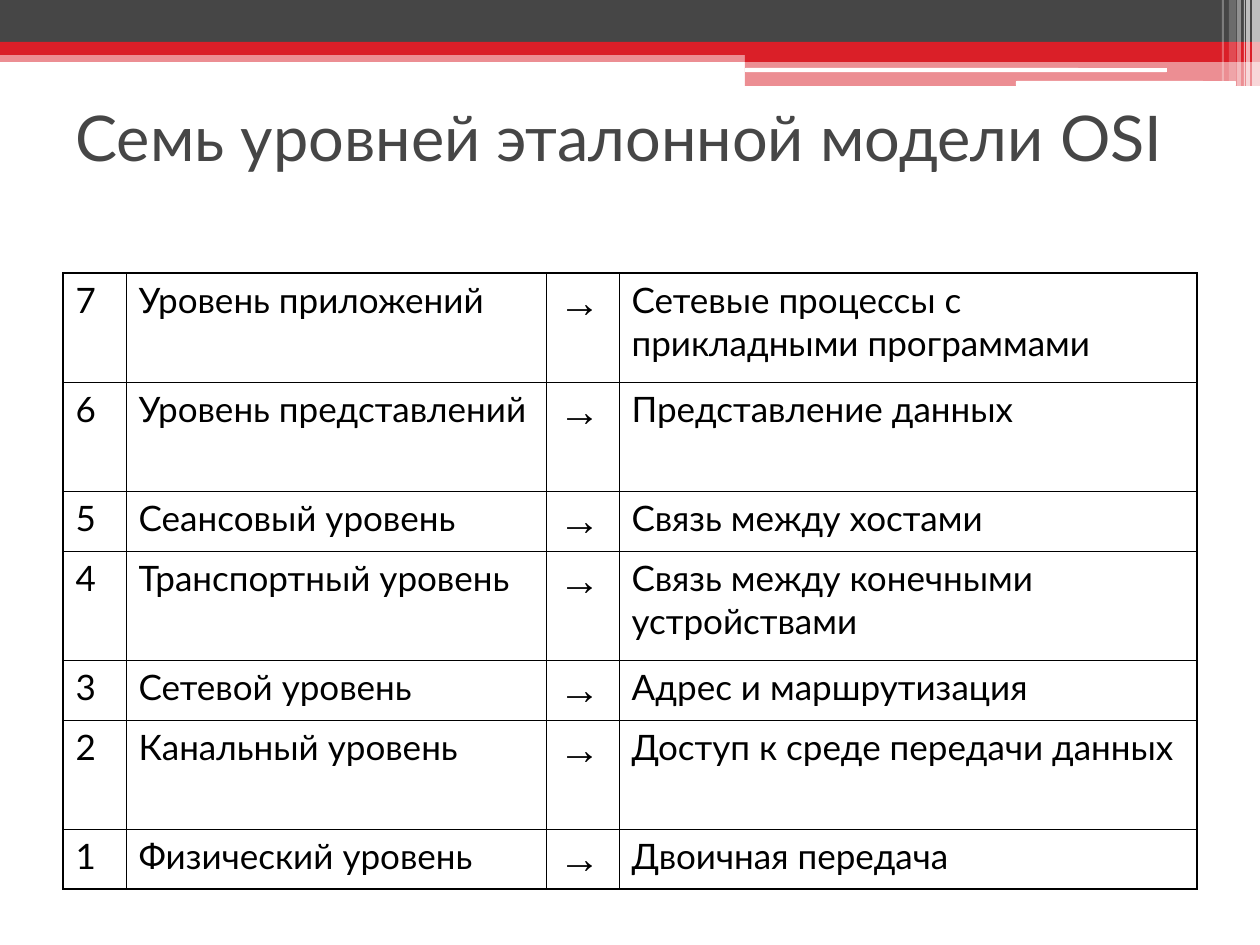
from lxml import etree
from pptx import Presentation
from pptx import util as u
from pptx.dml.color import RGBColor
from pptx.enum import shapes, text
from pptx.oxml.ns import qn

PX_PER_INCH = 126
COLORS = {"dark": "464646", "red": "DA1F28", "white": "FFFFFF", "black": "000000"}
FONT = "Lato"
ARROW = "→"
OUTER_LINE, INNER_LINE = 1.08, 0.45

# left, top, width, height, color, opacity in percent
BANDS = [
    (0, 50, 1260, 12, "red", 50),
    (0, 0, 1260, 43, "dark", 100),
    (0, 42, 1260, 13, "red", 100),
    (745, 49, 515, 13, "red", 100),
    (745, 61, 515, 25, "red", 50),
]
ROUNDED_BARS = [(745, 68, 422, 4), (1016, 81, 220, 5)]
# left, width, height, opacity in percent
CORNER_STRIPES = [
    (1252, 8, 86, 65),
    (1246, 4, 86, 65),
    (1244, 1, 86, 60),
    (1237, 4, 86, 40),
    (1229, 7, 81, 20),
    (1222, 2, 81, 30),
]
COLUMN_WIDTHS = [63, 420, 73, 578]
TALL_ROW, SHORT_ROW = 109, 60
# number, level, function, row height
LEVELS = [
    ("7", "Уровень приложений", "Сетевые процессы с прикладными программами", TALL_ROW),
    ("6", "Уровень представлений", "Представление данных", TALL_ROW),
    ("5", "Сеансовый уровень", "Связь между хостами", SHORT_ROW),
    ("4", "Транспортный уровень", "Связь между конечными устройствами", TALL_ROW),
    ("3", "Сетевой уровень", "Адрес и маршрутизация", SHORT_ROW),
    ("2", "Канальный уровень", "Доступ к среде передачи данных", TALL_ROW),
    ("1", "Физический уровень", "Двоичная передача", SHORT_ROW),
]


def px(length):
    return u.Inches(length / PX_PER_INCH)


def rgb(name):
    return RGBColor.from_string(COLORS[name])


def add_bar(slide, left, top, width, height, color, opacity=100,
            kind=shapes.MSO_SHAPE.RECTANGLE):
    shape = slide.shapes.add_shape(kind, px(left), px(top), px(width), px(height))
    shape.shadow.inherit = False
    shape.line.fill.background()
    shape.fill.solid()
    shape.fill.fore_color.rgb = rgb(color)
    if opacity < 100:
        color_element = shape.fill._xPr.find(qn("a:solidFill"))[0]
        etree.SubElement(color_element, qn("a:alpha"), val=str(opacity * 1000))


def add_header(slide):
    for band in BANDS:
        add_bar(slide, *band)
    for bar in ROUNDED_BARS:
        add_bar(slide, *bar, "white", kind=shapes.MSO_SHAPE.ROUNDED_RECTANGLE)
    for left, width, height, opacity in CORNER_STRIPES:
        add_bar(slide, left, 0, width, height, "white", opacity)


def format_paragraph(paragraph, size, color, font=FONT):
    paragraph.alignment = text.PP_ALIGN.LEFT
    paragraph.font.name = font
    paragraph.font.size = u.Pt(size)
    paragraph.font.color.rgb = rgb(color)


def set_title(slide, wording):
    title = slide.shapes.title
    title.left, title.top, title.width, title.height = px(63), px(42), px(1134), px(189)
    frame = title.text_frame
    frame.text = wording
    frame.auto_size = text.MSO_AUTO_SIZE.NONE
    frame.vertical_anchor = text.MSO_ANCHOR.MIDDLE
    format_paragraph(frame.paragraphs[0], 36, "dark")


def set_borders(cell, **widths):
    """Draw the cell's sides; keys L, R, T, B must come in schema order."""
    properties = cell._tc.get_or_add_tcPr()
    for side, width in widths.items():
        line = etree.SubElement(properties, qn(f"a:ln{side}"), w=str(u.Pt(width)))
        fill = etree.SubElement(line, qn("a:solidFill"))
        etree.SubElement(fill, qn("a:srgbClr"), val=COLORS["black"])


def fill_cell(cell, wording):
    cell.text = wording
    paragraph = cell.text_frame.paragraphs[0]
    if wording == ARROW:
        format_paragraph(paragraph, 24, "black", "Arial")
        paragraph.space_before = u.Pt(6)
    else:
        format_paragraph(paragraph, 20, "black")
        paragraph.space_before = u.Pt(5)


def add_levels_table(slide):
    heights = [level[-1] for level in LEVELS]
    last_row, last_column = len(LEVELS) - 1, len(COLUMN_WIDTHS) - 1
    table = slide.shapes.add_table(
        len(LEVELS), len(COLUMN_WIDTHS), px(63), px(273),
        px(sum(COLUMN_WIDTHS)), px(sum(heights))).table
    table.first_row = table.horz_banding = False
    for column, width in zip(table.columns, COLUMN_WIDTHS):
        column.width = px(width)
    for i, (number, level, function, height) in enumerate(LEVELS):
        table.rows[i].height = px(height)
        for j, wording in enumerate((number, level, ARROW, function)):
            cell = table.cell(i, j)
            fill_cell(cell, wording)
            set_borders(
                cell,
                L=OUTER_LINE if j == 0 else INNER_LINE,
                R=OUTER_LINE if j == last_column else INNER_LINE,
                T=OUTER_LINE if i == 0 else INNER_LINE,
                B=OUTER_LINE if i == last_row else INNER_LINE)
            cell.fill.background()


def main():
    presentation = Presentation()
    presentation.slide_width, presentation.slide_height = px(1260), px(945)
    slide = presentation.slides.add_slide(presentation.slide_layouts[5])
    add_header(slide)
    set_title(slide, "Семь уровней эталонной модели OSI")
    add_levels_table(slide)
    presentation.save("out.pptx")


if __name__ == "__main__":
    main()
